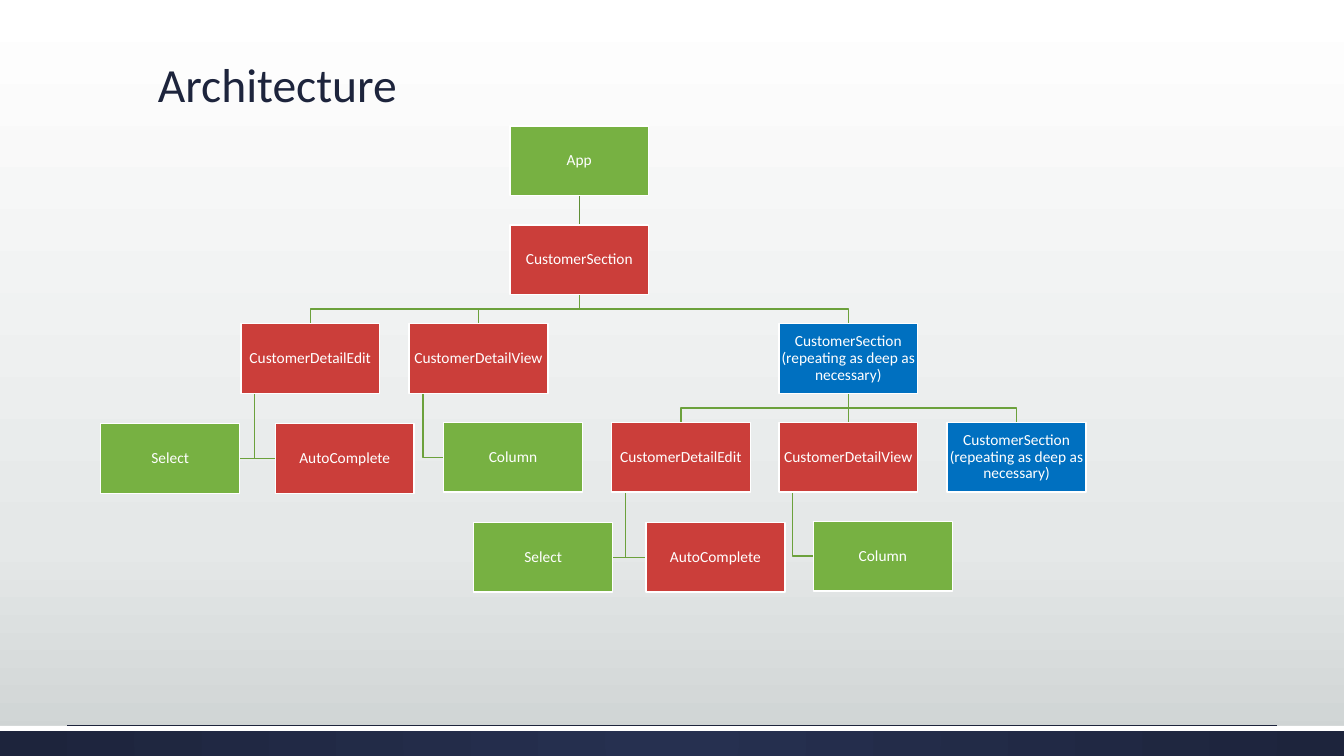
from pptx import Presentation
from pptx import util as u
from pptx.dml import color
from pptx.enum import shapes, text
from pptx.oxml import ns, parse_xml

Cm, Pt = u.Cm, u.Pt
HUES = {"green": "77B142", "red": "CB3E3A", "blue": "0070C0", "link": "6CA13C",
        "root": "5F8E35", "ink": "1D243C", "navy": "263050", "white": "FFFFFF",
        "mist": "E5E8E8", "grey": "CDD2D2"}
FONT = "Calibri"
WIDE, HIGH = 33.87, 19.05
BOX_W, BOX_H, ROW = 3.5, 1.75, 2.49
DEEP = "CustomerSection (repeating as deep as necessary)"

# key: label, colour, left, row, extra drop (cm, inside the chart area)
NODES = {
    "app": ("App", "green", 10.31, 0, 0),
    "main": ("CustomerSection", "red", 10.31, 1, 0),
    "edit": ("CustomerDetailEdit", "red", 3.53, 2, 0),
    "view": ("CustomerDetailView", "red", 7.77, 2, 0),
    "deep": (DEEP, "blue", 17.09, 2, 0),
    "pick": ("Select", "green", 0, 3, 0.03),
    "auto": ("AutoComplete", "red", 4.4, 3, 0.03),
    "col": ("Column", "green", 8.64, 3, 0),
    "edit2": ("CustomerDetailEdit", "red", 12.87, 3, 0),
    "view2": ("CustomerDetailView", "red", 17.09, 3, 0),
    "deep2": (DEEP, "blue", 21.33, 3, 0),
    "pick2": ("Select", "green", 9.4, 4, 0.03),
    "auto2": ("AutoComplete", "red", 13.74, 4, 0.03),
    "col2": ("Column", "green", 17.96, 4, 0),
}
# Parent to children: below it, or hanging from a side trunk
DOWN = {"app": ["main"], "main": ["edit", "view", "deep"],
        "deep": ["edit2", "view2", "deep2"]}
HANG = {"edit": ["pick", "auto"], "view": ["col"],
        "edit2": ["pick2", "auto2"], "view2": ["col2"]}


def rgb(name):
    return color.RGBColor.from_string(HUES[name])


def blend(fill, host, stops, shade):
    """Swap the solid fill inside host for a gradient."""
    fill.solid()
    fill.fore_color.rgb = rgb("white")
    gs = "".join(f'<a:gs pos="{pos * 1000}"><a:srgbClr val="{HUES[name]}"/></a:gs>'
                 for pos, name in stops)
    old = host.find(ns.qn("a:solidFill"))
    host.replace(old, parse_xml(
        f'<a:gradFill {ns.nsdecls("a")} rotWithShape="1">'
        f'<a:gsLst>{gs}</a:gsLst>{shade}</a:gradFill>'))


def add_rect(slide, x, y, w, h, fill):
    rect = slide.shapes.add_shape(shapes.MSO_SHAPE.RECTANGLE,
                                  Cm(x), Cm(y), Cm(w), Cm(h))
    rect.shadow.inherit = False
    rect.fill.solid()
    rect.fill.fore_color.rgb = rgb(fill)
    rect.line.fill.background()
    return rect


def add_line(slide, x1, y1, x2, y2, hue, width):
    line = slide.shapes.add_connector(shapes.MSO_CONNECTOR.STRAIGHT,
                                      Cm(x1), Cm(y1), Cm(x2), Cm(y2))
    line.line.color.rgb = rgb(hue)
    line.line.width = Pt(width)
    line.element.spPr.append(parse_xml(f'<a:effectLst {ns.nsdecls("a")}/>'))
    return line


def add_bend(slide, dots):
    dots = [(Cm(x), Cm(y)) for x, y in dots]
    pen = slide.shapes.build_freeform(*dots[0])
    pen.add_line_segments(dots[1:], close=False)
    bend = pen.convert_to_shape()
    bend.shadow.inherit = False
    bend.fill.background()
    bend.line.color.rgb = rgb("link")
    bend.line.width = Pt(1)


def write(shape, words, size, hue, align, anchor, inset):
    frame = shape.text_frame
    frame.word_wrap = True
    frame.vertical_anchor = anchor
    frame.margin_left = frame.margin_right = Cm(inset)
    frame.margin_top = frame.margin_bottom = Cm(inset / 2)
    para = frame.paragraphs[0]
    para.alignment = align
    para.line_spacing = 0.9
    run = para.add_run()
    run.text = words
    run.font.name, run.font.size = FONT, Pt(size)
    run.font.color.rgb = rgb(hue)


def add_base(slide, w, h):
    # Backdrop
    blend(slide.background.fill, slide.element.find(".//" + ns.qn("p:bgPr")),
          [(0, "white"), (72, "mist"), (100, "grey")],
          '<a:lin ang="5400000" scaled="0"/>')
    # Footer band with its white edge and thin rule
    top = h - 0.76
    band = add_rect(slide, 0, top, w, 0.76, "navy")
    blend(band.fill, band.element.spPr, [(0, "navy"), (100, "ink")],
          '<a:path path="circle"><a:fillToRect l="50000" t="50000" '
          'r="50000" b="50000"/></a:path>')
    add_rect(slide, 0, top, w, 0.13, "white")
    add_line(slide, 1.7, top - 0.02, w - 1.7, top - 0.02, "ink", 0.5)


def add_title(slide, x, y, w, h):
    box = slide.shapes.add_textbox(Cm(x), Cm(y), Cm(w), Cm(h))
    write(box, "Architecture", 34, "ink", text.PP_ALIGN.LEFT,
          text.MSO_ANCHOR.BOTTOM, 0.25)


def add_tree(slide, x, y):
    spot = {key: (x + left, y + row * ROW + drop)
            for key, (_, _, left, row, drop) in NODES.items()}
    mid = BOX_W / 2
    plumb = []

    # Links to the row below
    for top, kids in DOWN.items():
        px, py = spot[top]
        for kid in kids:
            kx, ky = spot[kid]
            if kx == px:
                hue = "root" if top == "app" else "link"
                line = add_line(slide, px + mid, py + BOX_H, kx + mid, ky, hue, 1)
                plumb.append((line, top, kid))
            else:
                bar = (py + BOX_H + ky) / 2
                add_bend(slide, [(px + mid, py + BOX_H), (px + mid, bar),
                                 (kx + mid, bar), (kx + mid, ky)])

    # Links from a side trunk
    for top, kids in HANG.items():
        px, py = spot[top]
        trunk = px + BOX_W / 10
        for kid in kids:
            kx, ky = spot[kid]
            side = kx if kx > trunk else kx + BOX_W
            level = ky + BOX_H / 2
            add_bend(slide, [(trunk, py + BOX_H), (trunk, level), (side, level)])

    # Boxes
    boxes = {}
    for key, (label, hue, *_) in NODES.items():
        box = add_rect(slide, *spot[key], BOX_W, BOX_H, hue)
        box.line.color.rgb = rgb("white")
        box.line.width = Pt(1)
        write(box, label, 11, "white", text.PP_ALIGN.CENTER,
              text.MSO_ANCHOR.MIDDLE, 0.02)
        boxes[key] = box
    for line, top, kid in plumb:
        line.begin_connect(boxes[top], 2)
        line.end_connect(boxes[kid], 0)


def main():
    deck = Presentation()
    deck.slide_width, deck.slide_height = Cm(WIDE), Cm(HIGH)
    slide = deck.slides.add_slide(deck.slide_layouts[6])
    add_base(slide, WIDE, HIGH)
    add_title(slide, 3.73, 1.3, 26.42, 1.68)
    add_tree(slide, 2.54, 3.18)
    deck.save("out.pptx")


if __name__ == "__main__":
    main()
